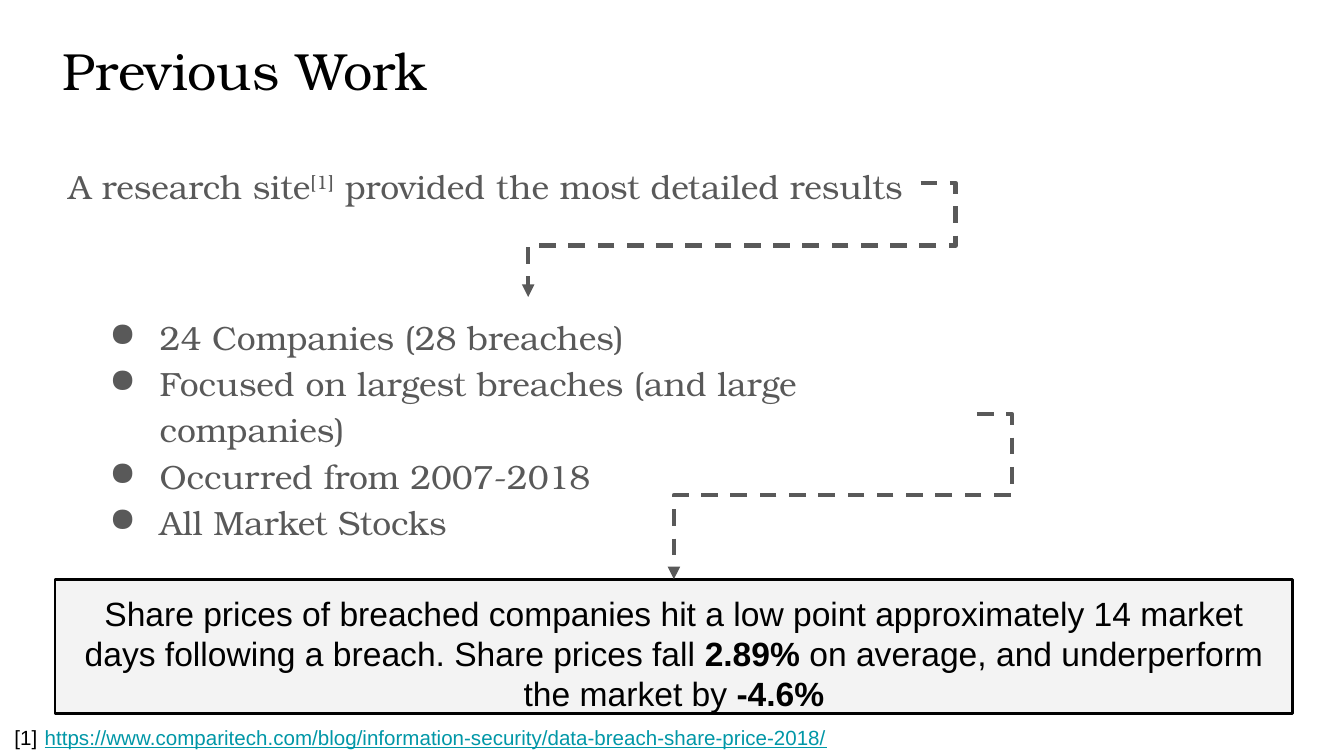
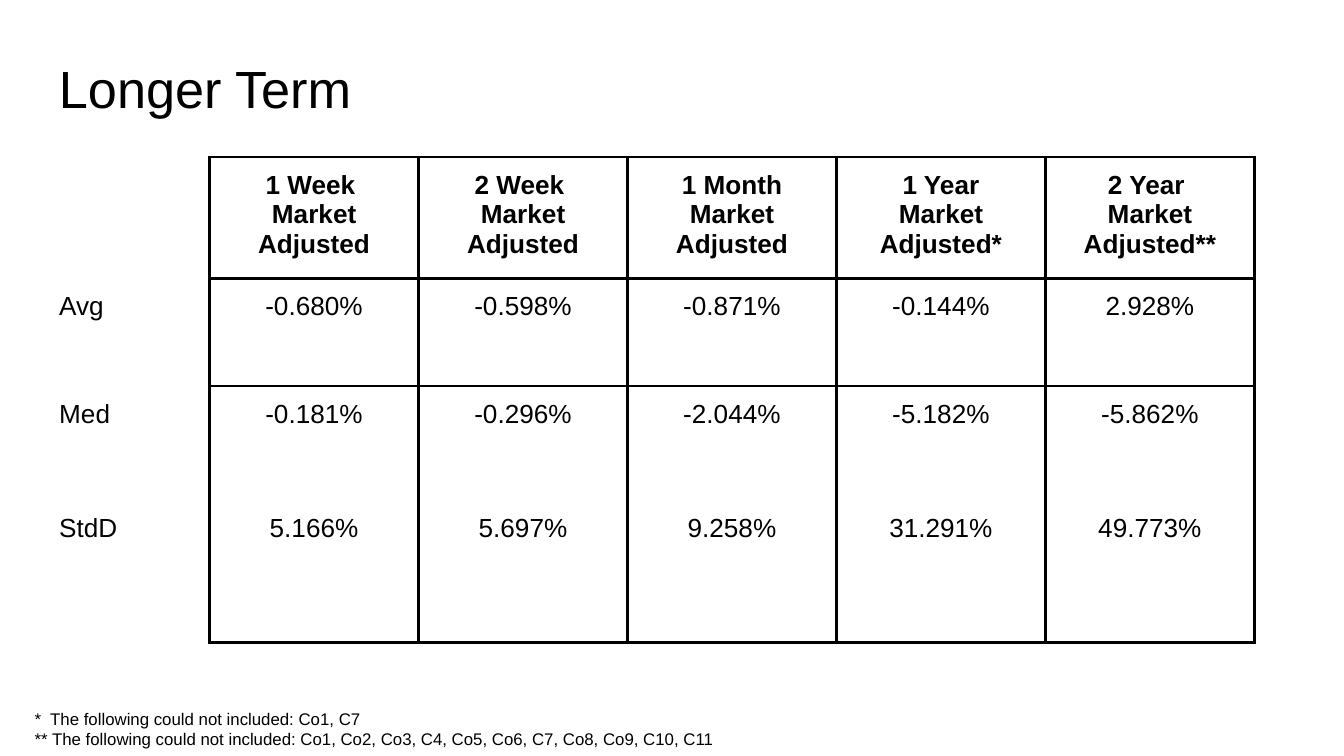
import pptx
import pptx.util
import pptx.dml.color
import pptx.enum.dml
import pptx.enum.shapes
import pptx.enum.text
import pptx.oxml
import pptx.oxml.ns

Pt = pptx.util.Pt
ALIGN = pptx.enum.text.PP_ALIGN
ANCHOR = pptx.enum.text.MSO_ANCHOR
NS = pptx.oxml.ns.nsdecls("a")
INK = {"text": "000000", "body": "595959", "link": "0097A7", "panel": "F3F3F3"}
SERIF, SANS = "TeX Gyre Bonum", "Arial"
BODY = {"name": SERIF, "size": Pt(18), "ink": "body"}
PLAIN = {"name": SANS, "size": Pt(18), "ink": "text"}
TITLE = {"name": SANS, "size": Pt(28), "ink": "text"}
CELL = {"name": SANS, "size": Pt(14), "ink": "text"}
NOTE = {"name": SANS, "size": Pt(9), "ink": "text"}
PAD = 7.2
RULE = 1.5


def tint(key):
    """Return the named colour."""
    return pptx.dml.color.RGBColor.from_string(INK[key])


def node(xml):
    """Parse one drawing element, with the namespace filled in."""
    return pptx.oxml.parse_xml(xml.replace("@", NS, 1))


def apply(thing, form):
    """Set attributes of an object from a dict."""
    for key, val in form.items():
        if key == "ink":
            thing.color.rgb = tint(val)
        else:
            setattr(thing, key, val)


def write(frame, paras, font, form=None, dot=False):
    """Fill a text frame with paragraphs, each a string or a list of runs."""
    for i, runs in enumerate(paras):
        para = frame.paragraphs[0] if i == 0 else frame.add_paragraph()
        if dot:
            prop = para._p.get_or_add_pPr()
            prop.set("marL", str(Pt(36)))
            prop.set("indent", str(-Pt(27)))
            prop.append(node(f'<a:buClr @><a:srgbClr val="{INK["body"]}"/></a:buClr>'))
            prop.append(node('<a:buChar @ char="●"/>'))
        apply(para, form or {})
        for text, diff in [(runs, {})] if isinstance(runs, str) else runs:
            run = para.add_run()
            run.text = text
            diff = dict(diff)
            raised = diff.pop("raised", None)
            apply(run.font, {**font, **diff})
            if raised:
                run._r.get_or_add_rPr().set("baseline", str(raised * 1000))


def inset(frame, side=PAD, top=PAD, anchor=ANCHOR.TOP):
    """Set margins and anchor of a text frame or cell."""
    apply(frame, {"word_wrap": True, "vertical_anchor": anchor,
                  "margin_left": Pt(side), "margin_right": Pt(side),
                  "margin_top": Pt(top), "margin_bottom": Pt(top)})


def label(slide, box, paras, font, form=None, dot=False, **gaps):
    """Add a text box and return it."""
    shape = slide.shapes.add_textbox(*map(Pt, box))
    inset(shape.text_frame, **gaps)
    write(shape.text_frame, paras, font, form, dot)
    return shape


def panel(slide, box, paras):
    """Add the framed result box and return it."""
    shape = slide.shapes.add_shape(pptx.enum.shapes.MSO_SHAPE.RECTANGLE, *map(Pt, box))
    shape.shadow.inherit = False
    shape.fill.solid()
    shape.fill.fore_color.rgb = tint("panel")
    apply(shape.line, {"ink": "text", "width": Pt(RULE)})
    inset(shape.text_frame)
    write(shape.text_frame, paras, PLAIN, {"alignment": ALIGN.CENTER})
    return shape


def link(slide, start, goal, turn, stub=18.75):
    """Join a box's right side to another's top by a dashed arrow."""
    line = slide.shapes.add_connector(pptx.enum.shapes.MSO_CONNECTOR.ELBOW, 0, 0, 0, 0)
    line.begin_connect(start, 3)
    line.end_connect(goal, 0)
    apply(line.line, {"ink": "body", "width": Pt(2.25),
                      "dash_style": pptx.enum.dml.MSO_LINE.DASH})
    line.line._get_or_add_ln().append(node('<a:tailEnd @ type="triangle"/>'))
    prop = line._element.spPr
    prop.append(node("<a:effectLst @/>"))
    geom = prop.find(pptx.oxml.ns.qn("a:prstGeom"))
    geom.set("prst", "bentConnector4")
    bends = geom.get_or_add_avLst()
    for i, part in enumerate((-Pt(stub) / line.width, turn), 1):
        bends.append(node(f'<a:gd @ name="adj{i}" fmla="val {round(part * 100000)}"/>'))


def border(cell, sides):
    """Rule the given sides of a cell and clear the others."""
    prop = cell._tc.get_or_add_tcPr()
    for side in "LRTB":
        paint = f'<a:solidFill><a:srgbClr val="{INK["text"]}"/></a:solidFill>'
        if side not in sides:
            paint = "<a:noFill/>"
        prop.append(node(f'<a:ln{side} @ w="{Pt(RULE)}">{paint}</a:ln{side}>'))
    cell.fill.background()


def grid(slide, box, wides, highs, rows):
    """Add the table, with an unruled column of row names."""
    grid = slide.shapes.add_table(len(rows), len(wides), *map(Pt, box)).table
    apply(grid, {"first_row": False, "horz_banding": False})
    for col, wide in zip(grid.columns, wides):
        col.width = Pt(wide)
    sides = ["LRTB", "LRTB", "LRT", "LRB"]
    pads = {f"margin_{s}": Pt(PAD) for s in ("left", "right", "top", "bottom")}
    for r, (row, high) in enumerate(zip(rows, highs)):
        grid.rows[r].height = Pt(high)
        for c, paras in enumerate(row):
            cell = grid.cell(r, c)
            apply(cell, pads)
            border(cell, sides[r] if c else "R")
            form = {"alignment": ALIGN.CENTER if c else ALIGN.LEFT}
            write(cell.text_frame, paras, {**CELL, "bold": r == 0}, form)


def prior(slide):
    """Build the slide on previous work."""
    label(slide, (26.64, 20.88, 668.88, 32.4), ["Previous Work"],
          {**TITLE, "name": SERIF}, top=3.6, anchor=ANCHOR.MIDDLE)
    lead = label(slide, (29.52, 78.48, 463.68, 38.88),
                 [[("A research site", {}), ("[1]", {"raised": 30}),
                   (" provided the most detailed results", {})]],
                 BODY, {"line_spacing": 1.15, "space_after": Pt(16)})
    facts = label(slide, (42.48, 159.12, 480.96, 125.28),
                  ["24 Companies (28 breaches)",
                   "Focused on largest breaches (and large companies)",
                   "Occurred from 2007-2018", "All Market Stocks"],
                  BODY, {"line_spacing": 1.15}, dot=True)
    link(slide, lead, facts, 0.55)
    label(slide, (0.72, 378, 480.24, 29.52),
          [[("[1]", {}), (" ", {"size": Pt(14)}),
            ("https://www.comparitech.com/blog/information-security/data-breach-share-price-2018/",
             {"ink": "link", "underline": True})]],
          {**NOTE, "size": Pt(11)})
    bold = {"bold": True}
    result = panel(slide, (29.52, 310.32, 663.12, 72),
                   [[("Share prices of breached companies hit a low point approximately "
                      "14 market days following a breach. Share prices fall ", {}),
                     ("2.89%", bold),
                     (" on average, and underperform the market by ", {}),
                     ("-4.6%", bold)]])
    link(slide, facts, result, 0.49)


def later(slide):
    """Build the slide on longer term results."""
    label(slide, (24.48, 23.04, 671.04, 45.36), ["Longer Term"], TITLE)
    adj = "Market Adjusted"
    heads = [["1 Week ", adj], ["2 Week ", adj], ["1 Month " + adj],
             ["1 Year", adj + "*"], ["2 Year ", adj + "**"]]
    data = {"Avg": "-0.680% -0.598% -0.871% -0.144% 2.928%",
            "Med": "-0.181% -0.296% -2.044% -5.182% -5.862%",
            "StdD": "5.166% 5.697% 9.258% 31.291% 49.773%"}
    rows = [[[]] + heads]
    rows += [[[name]] + [[v] for v in vals.split()] for name, vals in data.items()]
    wides = [87.84] + [111.96] * 5
    highs = [44.64, 57.6, 61.2, 76.32]
    grid(slide, (24.48, 84.24, sum(wides), sum(highs)), wides, highs, rows)
    label(slide, (11.52, 372.24, 653.04, 22.32),
          ["*  The following could not included: Co1, C7",
           "** The following could not included: Co1, Co2, Co3, C4, Co5, "
           "Co6, C7, Co8, Co9, C10, C11"], NOTE)


def main():
    """Build and save the slides."""
    deck = pptx.Presentation()
    apply(deck, {"slide_width": Pt(720), "slide_height": Pt(405)})
    for build in (prior, later):
        build(deck.slides.add_slide(deck.slide_layouts[6]))
    deck.save("out.pptx")


if __name__ == "__main__":
    main()
